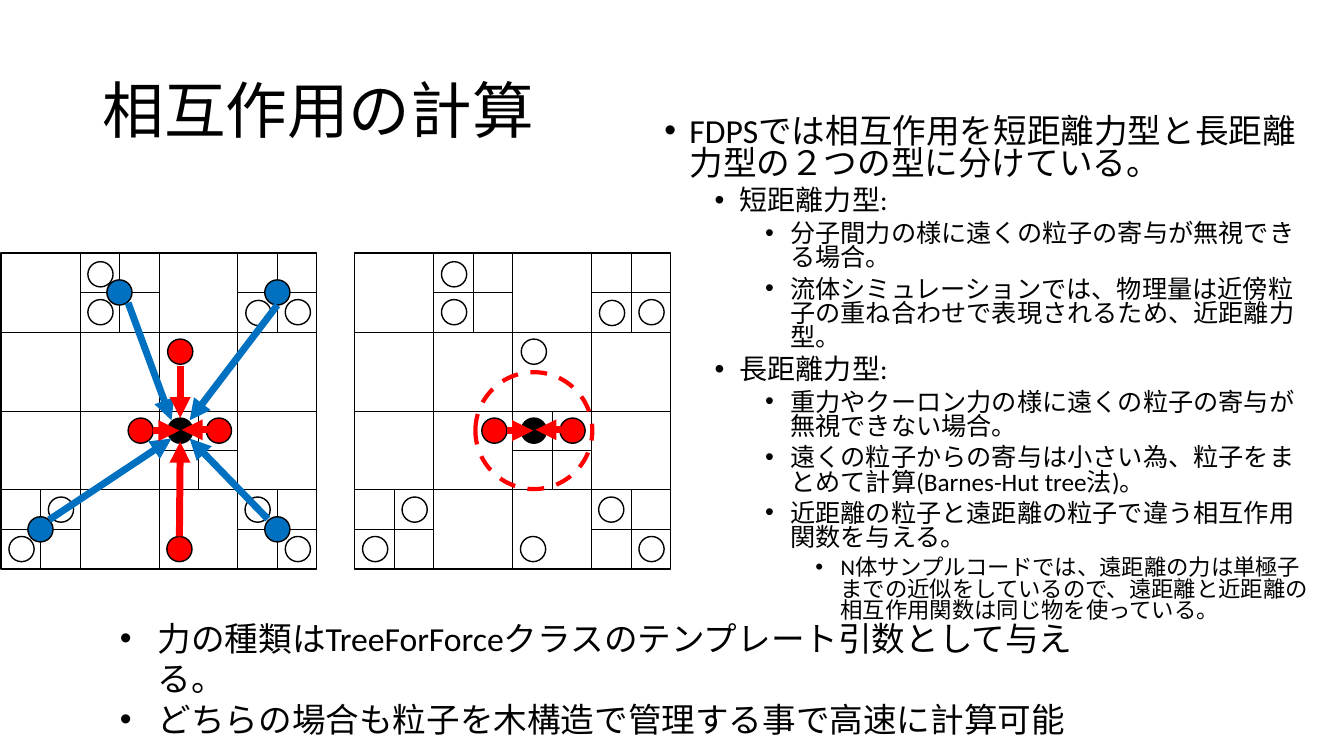
"""Build the slide that explains short-range and long-range interactions."""
import dataclasses

import pptx
import pptx.dml.color
import pptx.enum.dml
import pptx.enum.shapes
import pptx.enum.text
import pptx.oxml.ns
import pptx.util
import lxml.etree

Pt = pptx.util.Pt
SHAPES = pptx.enum.shapes.MSO_SHAPE


@dataclasses.dataclass(frozen=True)
class Theme:
    font: str = "Calibri"
    ink: str = "000000"
    paper: str = "FFFFFF"
    near: str = "FF0000"
    far: str = "0070C0"
    title: int = 44
    levels: tuple = (24, 20, 18, 16)
    grid: float = 0.5
    outline: float = 1
    cutoff: float = 3
    force: float = 5


class SlideBuilder:
    def __init__(self, slide, theme):
        self.slide = slide
        self.theme = theme

    def color(self, value):
        return pptx.dml.color.RGBColor.from_string(value)

    def place(self, part, left, top, width, height):
        part.left, part.top, part.width, part.height = map(Pt, (left, top, width, height))
        part.text_frame.word_wrap = True
        part.text_frame.auto_size = pptx.enum.text.MSO_AUTO_SIZE.NONE
        return part.text_frame

    def add_words(self, paragraph, words, size):
        run = paragraph.add_run()
        run.text = words
        run.font.name = self.theme.font
        run.font.size = Pt(size)
        run.font.color.rgb = self.color(self.theme.ink)

    def title(self, words, *box):
        frame = self.place(self.slide.shapes.title, *box)
        frame.vertical_anchor = pptx.enum.text.MSO_ANCHOR.MIDDLE
        heading = frame.paragraphs[0]
        heading.alignment = pptx.enum.text.PP_ALIGN.LEFT
        heading.line_spacing = 0.9
        self.add_words(heading, words, self.theme.title)

    def bullets(self, part, box, items, hang, spacing, gap):
        frame = self.place(part, *box)
        frame.vertical_anchor = pptx.enum.text.MSO_ANCHOR.TOP
        for index, (level, words) in enumerate(items):
            item = frame.add_paragraph() if index else frame.paragraphs[0]
            item.level = level
            item.alignment = pptx.enum.text.PP_ALIGN.LEFT
            item.line_spacing = spacing
            item.space_before = Pt(gap if index else 0)
            properties = item._p.get_or_add_pPr()
            properties.set("marL", str(Pt(hang + 36 * level)))
            properties.set("indent", str(Pt(-hang)))
            for tag, key, value in (("a:buFont", "typeface", "Arial"), ("a:buChar", "char", "•")):
                mark = lxml.etree.SubElement(properties, pptx.oxml.ns.qn(tag))
                mark.set(key, value)
            self.add_words(item, words, self.theme.levels[level])

    def shape(self, kind, box, fill, line, weight):
        part = self.slide.shapes.add_shape(kind, *map(Pt, box))
        part.shadow.inherit = False
        if fill:
            part.fill.solid()
            part.fill.fore_color.rgb = self.color(fill)
        else:
            part.fill.background()
        part.line.color.rgb = self.color(line)
        part.line.width = Pt(weight)
        return part

    def circle(self, center, diameter, fill, line, weight):
        x, y = center
        box = (x - diameter / 2, y - diameter / 2, diameter, diameter)
        return self.shape(SHAPES.OVAL, box, fill, line, weight)

    def line(self, start, end, color, weight, arrow=False):
        straight = pptx.enum.shapes.MSO_CONNECTOR.STRAIGHT
        part = self.slide.shapes.add_connector(straight, *map(Pt, (*start, *end)))
        part.line.color.rgb = self.color(color)
        part.line.width = Pt(weight)
        if arrow:
            tail = lxml.etree.SubElement(part.line._get_or_add_ln(), pptx.oxml.ns.qn("a:tailEnd"))
            tail.set("type", "triangle")
        lxml.etree.SubElement(part._element.spPr, pptx.oxml.ns.qn("a:effectLst"))
        return part


CELL = 56.4
BOARD_TOP = 180.7
PARTICLE = 18
SPLIT_CELLS = ((1, 0), (3, 0), (0, 3), (3, 3), (2, 2))
CENTER = (2.27, 2.25)
NEIGHBOURS = ((2.76, 2.25), (1.77, 2.25))
COLUMN = ((2.27, 1.25), (2.26, 3.75))
OTHERS = ((1.26, 0.27), (1.26, 0.75), (3.26, 0.76), (3.76, 0.75),
          (0.76, 3.25), (0.26, 3.75), (3.25, 3.25), (3.76, 3.75))
NEIGHBOUR_PULLS = (((2.62, 2.24), (2.29, 2.24)), ((1.93, 2.25), (2.26, 2.25)))
COLUMN_PULLS = (((2.27, 1.43), (2.27, 2.09)), ((2.26, 3.59), (2.27, 2.39)))
FAR_PULLS = (((1.61, 0.63), (2.16, 2.12)), ((3.5, 0.66), (2.39, 2.12)),
             ((0.61, 3.38), (2.16, 2.35)), ((3.38, 3.37), (2.39, 2.35)))
FORCE_TYPES = (
    (0, "FDPSでは相互作用を短距離力型と長距離力型の２つの型に分けている。"),
    (1, "短距離力型:"),
    (2, "分子間力の様に遠くの粒子の寄与が無視できる場合。"),
    (2, "流体シミュレーションでは、物理量は近傍粒子の重ね合わせで表現されるため、近距離力型。"),
    (1, "長距離力型:"),
    (2, "重力やクーロン力の様に遠くの粒子の寄与が無視できない場合。"),
    (2, "遠くの粒子からの寄与は小さい為、粒子をまとめて計算(Barnes-Hut tree法)。"),
    (2, "近距離の粒子と遠距離の粒子で違う相互作用関数を与える。"),
    (3, "N体サンプルコードでは、遠距離の力は単極子までの近似をしているので、"
        "遠距離と近距離の相互作用関数は同じ物を使っている。"),
)
SUMMARY = (
    (0, "力の種類はTreeForForceクラスのテンプレート引数として与える。"),
    (0, "どちらの場合も粒子を木構造で管理する事で高速に計算可能"),
)


def draw_board(builder, left, fill, column_fill):
    theme = builder.theme

    def at(point):
        return left + CELL * point[0], BOARD_TOP + CELL * point[1]

    def rule(start, end):
        return builder.line(at(start), at(end), theme.ink, theme.grid)

    board = builder.shape(SHAPES.RECTANGLE, (left, BOARD_TOP, 4 * CELL, 4 * CELL),
                          fill, theme.ink, theme.outline)
    for step in (1, 2, 3):
        row = rule((0, step), (4, step))
        column = rule((step, 4), (step, 0))
        if step == 2:
            row.begin_connect(board, 1)
            row.end_connect(board, 3)
            column.begin_connect(board, 2)
            column.end_connect(board, 0)
    for x, y in SPLIT_CELLS:
        rule((x, y + 0.5), (x + 1, y + 0.5))
        rule((x + 0.5, y + 1), (x + 0.5, y))
    for particles, paint in ((OTHERS, fill), (COLUMN, column_fill),
                             (NEIGHBOURS, theme.near), ((CENTER,), theme.ink)):
        for particle in particles:
            builder.circle(at(particle), PARTICLE, paint, theme.ink, theme.outline)
    return at


def draw_pulls(builder, at, pulls, color):
    for start, end in pulls:
        builder.line(at(start), at(end), color, builder.theme.force, arrow=True)


def main():
    presentation = pptx.Presentation()
    presentation.slide_width, presentation.slide_height = Pt(960), Pt(540)
    slide = presentation.slides.add_slide(presentation.slide_layouts[1])
    theme = Theme()
    builder = SlideBuilder(slide, theme)

    builder.title("相互作用の計算", 66, 28.75, 828, 104.4)
    builder.bullets(slide.placeholders[1], (467.3, 80.6, 475.2, 366.5), FORCE_TYPES, 18, 0.8, 5)

    long_range = draw_board(builder, 0.7, theme.paper, theme.near)
    short_range = draw_board(builder, 253.3, None, None)
    for x, y in SPLIT_CELLS[:4]:
        builder.circle(long_range((x + 0.5, y + 0.5)), PARTICLE,
                       theme.far, theme.ink, theme.outline)
    draw_pulls(builder, long_range, FAR_PULLS, theme.far)
    draw_pulls(builder, long_range, COLUMN_PULLS + NEIGHBOUR_PULLS, theme.near)
    draw_pulls(builder, short_range, NEIGHBOUR_PULLS, theme.near)
    cutoff = builder.circle(short_range(CENTER), 83.5, None, theme.near, theme.cutoff)
    cutoff.line.dash_style = pptx.enum.dml.MSO_LINE.DASH

    summary = slide.shapes.add_textbox(0, 0, 0, 0)
    builder.bullets(summary, (78.5, 437.8, 709.2, 65.5), SUMMARY, 27, 1.0, 0)
    presentation.save("out.pptx")


if __name__ == "__main__":
    main()
